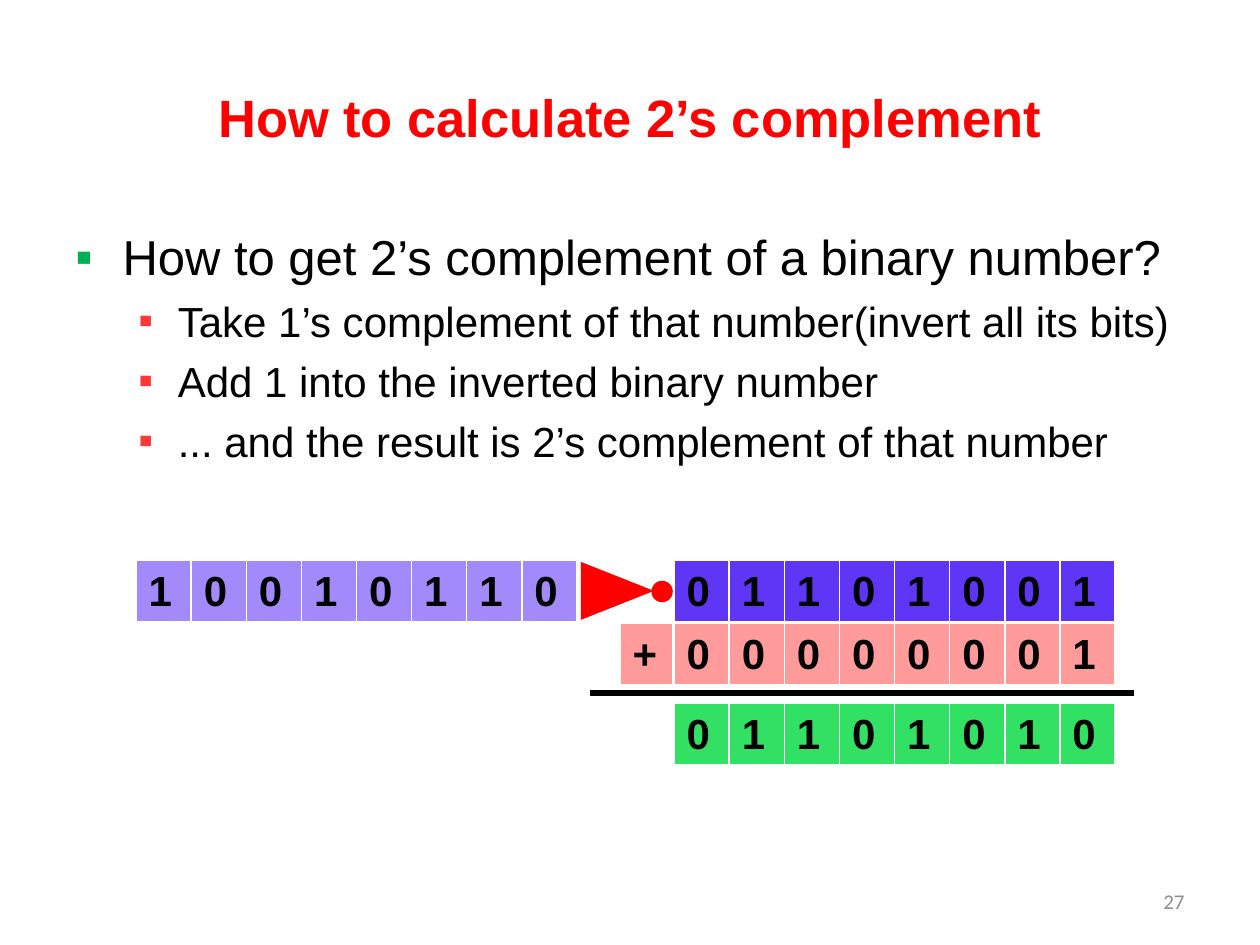
from lxml.etree import SubElement
from pptx import Presentation
from pptx.dml.color import RGBColor as RGB
from pptx.enum.shapes import MSO_CONNECTOR as LINE, MSO_SHAPE as SHAPE
from pptx.enum.text import MSO_ANCHOR as ANCHOR, PP_ALIGN as ALIGN
from pptx.oxml.ns import qn
from pptx.util import Inches, Pt

THEME = {
    "ink": RGB(0, 0, 0), "accent": RGB(255, 0, 0), "muted": RGB(0x8C, 0x8C, 0x8C),
    "number": RGB(0xA2, 0x8A, 0xFA), "inverted": RGB(0x5F, 0x36, 0xF6),
    "one": RGB(0xFF, 0x9B, 0x9B), "result": RGB(0x32, 0xE1, 0x64),
    "bullets": ["00B050", "FF3737"], "border": "FFFFFF",
    "title": Pt(30), "question": Pt(28), "step": Pt(24), "bit": Pt(24), "page": Pt(12),
}

deck = Presentation()
deck.slide_width, deck.slide_height = Inches(10), Inches(7.5)
slide = deck.slides.add_slide(deck.slide_layouts[6])
shapes = slide.shapes
COL, ROW = deck.slide_width / 100, deck.slide_height / 75


def box(left, top, width, height):
    """Turn grid columns and rows into slide lengths."""
    return [round(n * unit) for n, unit in zip((left, top, width, height), (COL, ROW) * 2)]


def write(paragraph, text, size, color="ink", name="Arial", bold=False):
    run = paragraph.add_run()
    run.text = text
    formats = {"name": name, "size": THEME[size], "bold": bold}
    for key, value in formats.items():
        setattr(run.font, key, value)
    run.font.color.rgb = THEME[color]


# Title and page number
labels = [
    ((5, 3, 90, 12.5), ALIGN.CENTER, "How to calculate 2’s complement",
     {"size": "title", "color": "accent", "bold": True}),
    ((71.7, 69.5, 23.3, 4), ALIGN.RIGHT, "27",
     {"size": "page", "color": "muted", "name": "Calibri"}),
]
for place, align, text, style in labels:
    frame = shapes.add_textbox(*box(*place)).text_frame
    frame.word_wrap, frame.vertical_anchor = True, ANCHOR.MIDDLE
    frame.paragraphs[0].alignment = align
    write(frame.paragraphs[0], text, **style)

# Question and its steps
outline = [
    (0, "How to get 2’s complement of a binary number?"),
    (1, "Take 1’s complement of that number(invert all its bits)"),
    (1, "Add 1 into the inverted binary number"),
    (1, "... and the result is 2’s complement of that number"),
]
levels = [("question", 3.75, -3.75), ("step", 8.13, -3.13)]
body = shapes.add_textbox(*box(5, 17.5, 90, 49.5)).text_frame
body.word_wrap = True
for i, (level, text) in enumerate(outline):
    size, margin, indent = levels[level]
    line = body.add_paragraph() if i else body.paragraphs[0]
    line.level = level
    if i:
        line.space_before = Pt(5.5)
    props = line._p.get_or_add_pPr()
    props.set("marL", str(round(margin * COL)))
    props.set("indent", str(round(indent * COL)))
    bullet_color = SubElement(props, qn("a:buClr"))
    SubElement(bullet_color, qn("a:srgbClr"), val=THEME["bullets"][level])
    SubElement(props, qn("a:buFont"), typeface="Arial")
    SubElement(props, qn("a:buChar"), char="▪")
    write(line, text, size)

# Binary numbers, one cell per bit
BIT = 35 / 8
SUM_LEFT = 53.5
numbers = [
    (10.8, 44.5, BIT, "10010110", "number"),
    (SUM_LEFT, 44.5, BIT, "01101001", "inverted"),
    (49.2, 49.5, 4.2, "+", "one"),
    (SUM_LEFT, 55.8, BIT, "01101010", "result"),
    (SUM_LEFT, 49.5, BIT, "00000001", "one"),
]
borders = {"a:lnL": Pt(1), "a:lnR": Pt(1), "a:lnT": Pt(1), "a:lnB": Pt(3)}
for left, top, width, digits, color in numbers:
    place = box(left, top, width * len(digits), 4.1)
    table = shapes.add_table(1, len(digits), *place).table
    table.first_row = table.horz_banding = False
    for column, digit in enumerate(digits):
        table.columns[column].width = round(width * COL)
        cell = table.cell(0, column)
        cell.vertical_anchor = ANCHOR.MIDDLE
        cell_props = cell._tc.get_or_add_tcPr()
        for tag, weight in borders.items():
            edge = SubElement(cell_props, qn(tag), w=str(weight))
            SubElement(SubElement(edge, qn("a:solidFill")), qn("a:srgbClr"), val=THEME["border"])
        cell.fill.solid()
        cell.fill.fore_color.rgb = THEME[color]
        write(cell.text_frame.paragraphs[0], digit, "bit", bold=True)

# Rule above the result
start_x, start_y, length, _ = box(46.8, 55, 43.2, 0)
sum_rule = shapes.add_connector(LINE.STRAIGHT, start_x, start_y, start_x + length, start_y)
sum_rule.line.width = Pt(3)
sum_rule.line.color.rgb = THEME["ink"]
SubElement(sum_rule._element.spPr, qn("a:effectLst"))

# Inverter symbol
inverter = shapes.add_group_shape().shapes
for kind, place, turn in [
    (SHAPE.ISOSCELES_TRIANGLE, (46.7, 44, 4.6, 5.8), 90),
    (SHAPE.OVAL, (51.7, 46.1, 1.7, 1.7), 0),
]:
    part = inverter.add_shape(kind, *box(*place))
    part.rotation = turn
    part.shadow.inherit = False
    part.fill.solid()
    part.fill.fore_color.rgb = THEME["accent"]
    part.line.fill.background()

deck.save("out.pptx")
